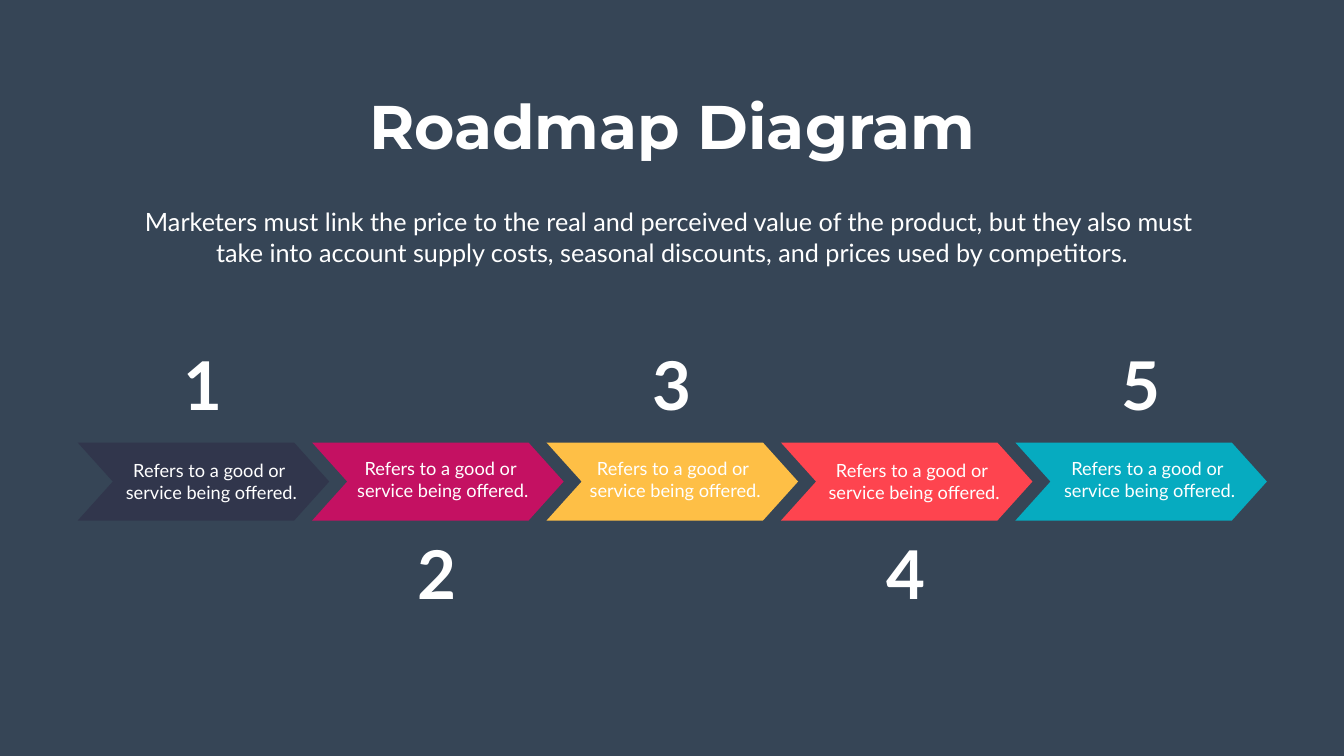
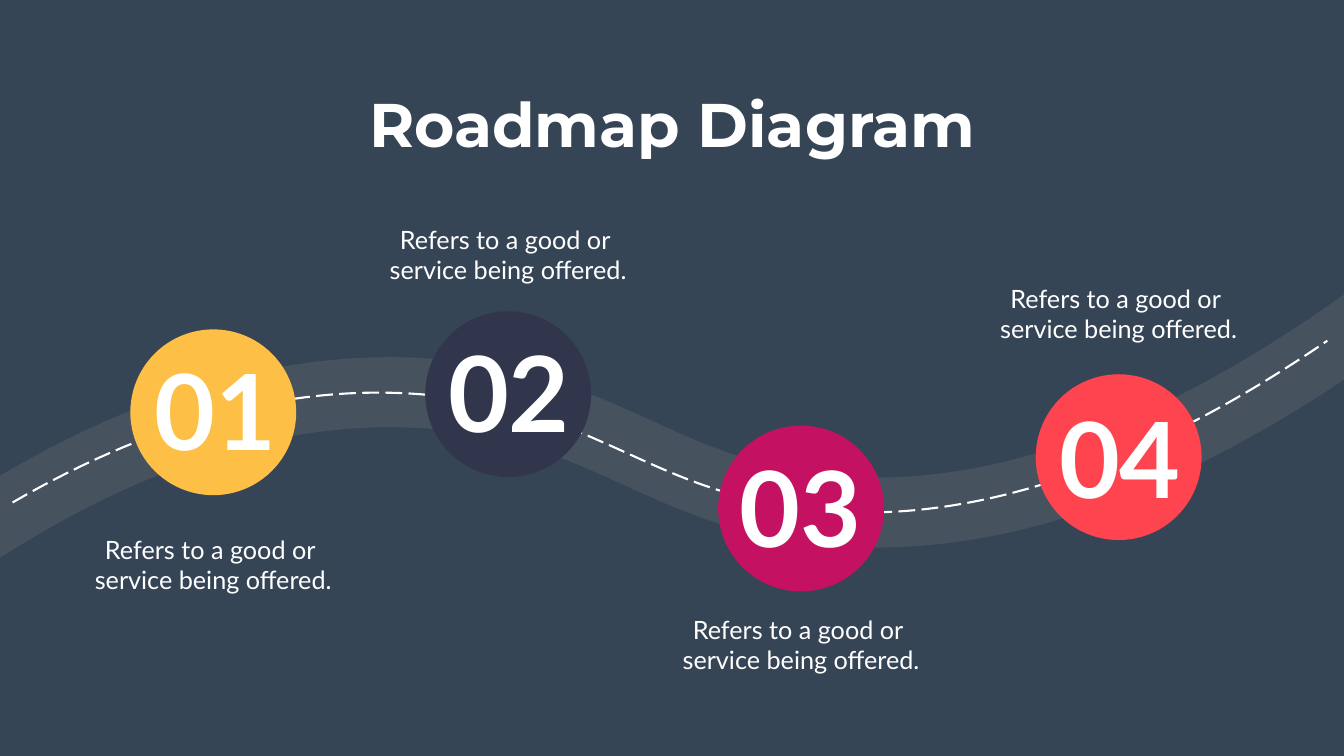
import pptx
import pptx.util
import pptx.dml.color
import pptx.enum.dml
import pptx.enum.shapes
import pptx.enum.text
import pptx.oxml.ns
from lxml import etree

RGB = pptx.dml.color.RGBColor
KIND = pptx.enum.shapes.MSO_SHAPE
DASH = pptx.enum.dml.MSO_LINE
ALIGN = pptx.enum.text.PP_ALIGN
GROW = pptx.enum.text.MSO_AUTO_SIZE.SHAPE_TO_FIT_TEXT
Inches = pptx.util.Inches
Pt = pptx.util.Pt
qn = pptx.oxml.ns.qn

# Shared colours and text formats
SLATE = RGB(0x36, 0x45, 0x56)
NAVY = RGB(0x31, 0x36, 0x4C)
PINK = RGB(0xC4, 0x11, 0x62)
GOLD = RGB(0xFE, 0xBF, 0x46)
RED = RGB(0xFE, 0x44, 0x4F)
TEAL = RGB(0x06, 0xAB, 0xC0)
GREY = RGB(0x79, 0x79, 0x79)
WHITE = RGB(0xFF, 0xFF, 0xFF)

STYLES = {
    "title": {"name": "Montserrat", "size": Pt(88), "bold": True},
    "body": {"name": "Lato", "size": Pt(36)},
    "label": {"name": "Lato", "size": Pt(26)},
    "step": {"name": "Lato", "size": Pt(96), "bold": True},
    "stop": {"name": "Lato", "size": Pt(150), "bold": True},
}

# Content
TITLE = "Roadmap Diagram"
INTRO = ("Marketers must link the price to the real and perceived value of the product, but they also must \n"
         "take into account supply costs, seasonal discounts, and prices used by competitors.")
OFFER = "Refers to a good or \nservice being offered."

# Steps: number, colour, label offset from the arrow's left and top
STEPS = [
    ("1", NAVY, 0.78, 0.28),
    ("2", PINK, 0.72, 0.25),
    ("3", GOLD, 0.68, 0.25),
    ("4", RED, 0.77, 0.28),
    ("5", TEAL, 0.79, 0.25),
]

# Stops: number, colour, centre, number's offset, caption side, caption gap
STOPS = [
    ("01", GOLD, (4.23, 8.18), (1.27, 1.38), "below", 0.72),
    ("02", NAVY, (10.08, 7.82), (1.29, 1.38), "above", 0.47),
    ("03", PINK, (15.89, 10.09), (1.31, 1.35), "below", 0.4),
    ("04", RED, (22.19, 9.07), (1.28, 1.32), "above", 0.55),
]

# Curves: start, then two handles and an end for each bend
ROAD = [(-0.57, 10.61),
        (1.8, 9.06), (5.3, 7.35), (9.2, 7.88),
        (12.02, 8.27), (13.07, 9.56), (15.68, 10.02),
        (18.17, 10.46), (21.93, 10.12), (27.23, 6.29)]
LANE = [(0.25, 9.97),
        (2.54, 8.64), (5.61, 7.43), (8.97, 7.89),
        (11.79, 8.27), (12.85, 9.56), (15.45, 10.02),
        (17.83, 10.44), (21.38, 10.15), (26.33, 6.76)]

# Layout, in inches
WIDE, HIGH = 26.66, 15
LEFT, PITCH = 1.54, 4.65
ARROW_W, ARROW_H, ARROW_Y = 4.99, 1.55, 8.78
DISC = 3.29


def add_text(slide, text, style, box, wrap=True, align=ALIGN.CENTER):
    shape = slide.shapes.add_textbox(*map(Inches, box))
    frame = shape.text_frame
    frame.word_wrap = wrap
    frame.auto_size = GROW
    frame.text = text
    for para in frame.paragraphs:
        para.alignment = align
        for run in para.runs:
            for key, value in STYLES[style].items():
                setattr(run.font, key, value)
            run.font.color.rgb = WHITE


def add_solid(slide, kind, color, box):
    shape = slide.shapes.add_shape(kind, *map(Inches, box))
    shape.shadow.inherit = False
    shape.fill.solid()
    shape.fill.fore_color.rgb = color
    shape.line.fill.background()
    return shape


def add_curve(slide, knots, color, width, dash):
    dots = [(Inches(x), Inches(y)) for x, y in knots]
    pen = slide.shapes.build_freeform(*dots[0])
    pen.add_line_segments(dots[1:], close=False)
    shape = pen.convert_to_shape()
    # Turn every three straight pieces into one cubic bend
    track = shape.element.xpath(".//a:path")[0]
    lines = track.findall(qn("a:lnTo"))
    for at in range(0, len(lines), 3):
        bend = etree.SubElement(track, qn("a:cubicBezTo"))
        for line in lines[at:at + 3]:
            bend.append(line[0])
            track.remove(line)
    shape.shadow.inherit = False
    shape.fill.background()
    shape.line.color.rgb = color
    shape.line.width = Pt(width)
    shape.line.dash_style = dash
    return shape


def add_page(deck):
    return deck.slides.add_slide(deck.slide_layouts[6])


def add_title(slide, top):
    add_text(slide, TITLE, "title", ((WIDE - 12.28) / 2, top, 12.28, 1.58), False)


def draw_steps(deck):
    slide = add_page(deck)
    spots = [LEFT + i * PITCH for i in range(len(STEPS))]
    for x, (num, color, dx, dy) in zip(spots, STEPS):
        arrow = add_solid(slide, KIND.CHEVRON, color, (x, ARROW_Y, ARROW_W, ARROW_H))
        arrow.adjustments[0] = 0.45
    for x, (num, color, dx, dy) in zip(spots, STEPS):
        add_text(slide, OFFER, "label", (x + dx, ARROW_Y + dy, 3.75, 0.98))
    # Numbers alternate above and below the arrows
    for i, x in enumerate(spots):
        y = 10.52 if i % 2 else 6.77
        add_text(slide, STEPS[i][0], "step", (x + 2, y, 0.98, 1.72), False, ALIGN.LEFT)
    add_text(slide, INTRO, "body", ((WIDE - 21.43) / 2, 4.05, 21.43, 1.31))
    add_title(slide, 1.69)


def draw_road(deck):
    slide = add_page(deck)
    road = add_curve(slide, ROAD, GREY, 100, DASH.SOLID)
    tint = road.element.xpath(".//a:ln//a:srgbClr")[0]
    etree.SubElement(tint, qn("a:alpha"), val="25000")
    add_curve(slide, LANE, WHITE, 3, DASH.LONG_DASH)

    # Stops on the road
    half = DISC / 2
    for num, color, (x, y), (dx, dy), side, gap in STOPS:
        add_solid(slide, KIND.OVAL, color, (x - half, y - half, DISC, DISC))
        top = y + half + gap if side == "below" else y - half - gap - 1.31
        add_text(slide, OFFER, "body", (x - 2.53, top, 5.06, 1.31))
        add_text(slide, num, "stop", (x - dx, y - dy, 2.64, 2.63), False, ALIGN.LEFT)
    add_title(slide, 1.66)


def main():
    deck = pptx.Presentation()
    deck.slide_width, deck.slide_height = Inches(WIDE), Inches(HIGH)
    fill = deck.slide_master.background.fill
    fill.solid()
    fill.fore_color.rgb = SLATE
    draw_steps(deck)
    draw_road(deck)
    deck.save("out.pptx")


if __name__ == "__main__":
    main()
